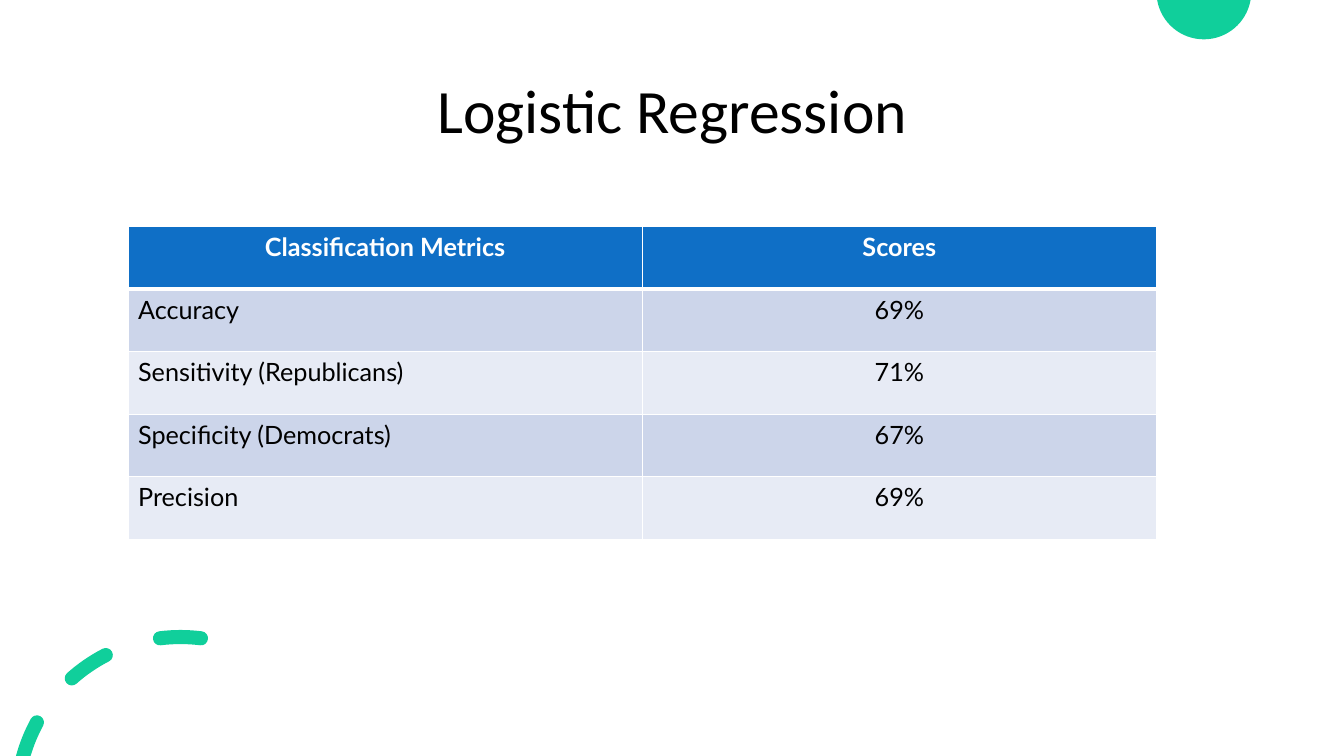
import math
from dataclasses import dataclass
from typing import Optional

from lxml import etree
from pptx import Presentation, util as u
from pptx.dml.color import RGBColor
from pptx.enum import text
from pptx.oxml.ns import qn


@dataclass(frozen=True)
class Theme:
    green: str = "10CF9B"
    header: str = "0F6FC6"
    bands: tuple[str, str] = ("CCD5EA", "E7EBF5")
    white: str = "FFFFFF"
    black: str = "000000"
    title_font: str = "Calibri"
    table_font: str = "Lato"
    title_size: int = 44
    table_size: int = 18
    rule: int = 1
    header_rule: int = 3


@dataclass(frozen=True)
class Metric:
    name: str
    score: str


@dataclass(frozen=True)
class Dash:
    end: float
    start: Optional[float] = None


Point = tuple[float, float]

THEME = Theme()
SLIDE_W, SLIDE_H = 13.33, 7.5
CENTER = text.PP_ALIGN.CENTER
LEFT = text.PP_ALIGN.LEFT

METRICS = [
    Metric("Accuracy", "69%"),
    Metric("Sensitivity (Republicans)", "71%"),
    Metric("Specificity (Democrats)", "67%"),
    Metric("Precision", "69%"),
]

RING_CENTER: Point = (1.79, 7.94)
RING_RADIUS = 1.62
DASH_HALF = 0.07
DASHES = [Dash(-61.5), Dash(-27.2, -41.7), Dash(7.2, -7.2)]


def polar(center: Point, radius: float, angle: float) -> Point:
    a = math.radians(angle)
    return center[0] + radius * math.sin(a), center[1] - radius * math.cos(a)


def arc(center: Point, radius: float, start: float, end: float, parts: int = 1) -> list[Point]:
    step = (end - start) / parts
    handle = 4 / 3 * math.tan(math.radians(step) / 4)
    reach = radius * math.hypot(1, handle)
    lean = math.degrees(math.atan(handle))
    points = [polar(center, radius, start)]
    for i in range(parts):
        a, b = start + i * step, start + (i + 1) * step
        points += [polar(center, reach, a + lean), polar(center, reach, b - lean),
                   polar(center, radius, b)]
    return points


def edge_angle(radius: float) -> float:
    return -math.degrees(math.acos((RING_CENTER[1] - SLIDE_H) / radius))


def dash_outline(dash: Dash) -> list[Point]:
    outer, inner = RING_RADIUS + DASH_HALF, RING_RADIUS - DASH_HALF
    cut = dash.start is None
    outer_start = edge_angle(outer) if cut else dash.start
    inner_start = edge_angle(inner) if cut else dash.start
    head = polar(RING_CENTER, RING_RADIUS, dash.end)
    points = arc(RING_CENTER, outer, outer_start, dash.end)
    points += arc(head, DASH_HALF, dash.end, dash.end + 180, 2)[1:]
    points += arc(RING_CENTER, inner, dash.end, inner_start)[1:]
    if not cut:
        tail = polar(RING_CENTER, RING_RADIUS, dash.start)
        points += arc(tail, DASH_HALF, dash.start + 180, dash.start + 360, 2)[1:]
    return points


def add_curves(s, outlines: list[list[Point]], color: str) -> None:
    contours = [[(u.Inches(x), u.Inches(y)) for x, y in outline] for outline in outlines]
    builder = s.shapes.build_freeform(*contours[0][0])
    for i, points in enumerate(contours):
        if i:
            builder.move_to(*points[0])
        builder.add_line_segments(points[1:], close=True)
    sp = builder.convert_to_shape()
    lines = list(sp._element.iter(qn("a:lnTo")))
    for first, second, third in zip(lines[::3], lines[1::3], lines[2::3]):
        curve = etree.Element(qn("a:cubicBezTo"))
        first.addprevious(curve)
        for line in (first, second, third):
            curve.append(line[0])
            line.getparent().remove(line)
    sp.shadow.inherit = False
    sp.fill.solid()
    sp.fill.fore_color.rgb = RGBColor.from_string(color)
    sp.line.fill.background()


def set_text(tf, content: str, *, font: str, size: int, color: str,
             bold: bool = False, align=LEFT, spacing: float = 1.0) -> None:
    p = tf.paragraphs[0]
    p.alignment = align
    p.line_spacing = spacing
    r = p.add_run()
    r.text = content
    r.font.name = font
    r.font.size = u.Pt(size)
    r.font.bold = bold
    r.font.color.rgb = RGBColor.from_string(color)


def set_borders(cell, top: int, bottom: int) -> None:
    tc_pr = cell._tc.get_or_add_tcPr()
    widths = {"lnL": THEME.rule, "lnR": THEME.rule, "lnT": top, "lnB": bottom}
    for side, width in widths.items():
        ln = etree.SubElement(tc_pr, qn(f"a:{side}"), w=str(u.Pt(width)))
        fill = etree.SubElement(ln, qn("a:solidFill"))
        etree.SubElement(fill, qn("a:srgbClr"), val=THEME.white)


def add_metrics_table(s, metrics: list[Metric]) -> None:
    rows = [Metric("Classification Metrics", "Scores"), *metrics]
    frame = s.shapes.add_table(len(rows), 2, u.Inches(1.27), u.Inches(2.25),
                               u.Inches(10.2), u.Inches(0.62 * len(rows)))
    for i, row in enumerate(rows):
        is_header = i == 0
        color = THEME.header if is_header else THEME.bands[(i - 1) % 2]
        for j, content in enumerate((row.name, row.score)):
            cell = frame.table.cell(i, j)
            set_borders(cell,
                        top=THEME.header_rule if i == 1 else THEME.rule,
                        bottom=THEME.header_rule if is_header else THEME.rule)
            cell.fill.solid()
            cell.fill.fore_color.rgb = RGBColor.from_string(color)
            set_text(cell.text_frame, content, font=THEME.table_font, size=THEME.table_size,
                     color=THEME.white if is_header else THEME.black, bold=is_header,
                     align=CENTER if is_header or j == 1 else LEFT)


def add_title(s, content: str) -> None:
    sp = s.shapes.title
    sp.left, sp.top = u.Inches(0.92), u.Inches(0.4)
    sp.width, sp.height = u.Inches(11.5), u.Inches(1.45)
    tf = sp.text_frame
    tf.vertical_anchor = text.MSO_ANCHOR.MIDDLE
    set_text(tf, content, font=THEME.title_font, size=THEME.title_size,
             color=THEME.black, align=CENTER, spacing=0.9)


def main() -> None:
    prs = Presentation()
    prs.slide_width, prs.slide_height = u.Inches(SLIDE_W), u.Inches(SLIDE_H)
    s = prs.slides.add_slide(prs.slide_layouts[5])
    add_curves(s, [arc((11.94, -0.08), 0.47, 99.8, 260.2, 2)], THEME.green)
    add_curves(s, [dash_outline(dash) for dash in DASHES], THEME.green)
    add_metrics_table(s, METRICS)
    add_title(s, "Logistic Regression")
    prs.save("out.pptx")


if __name__ == "__main__":
    main()
